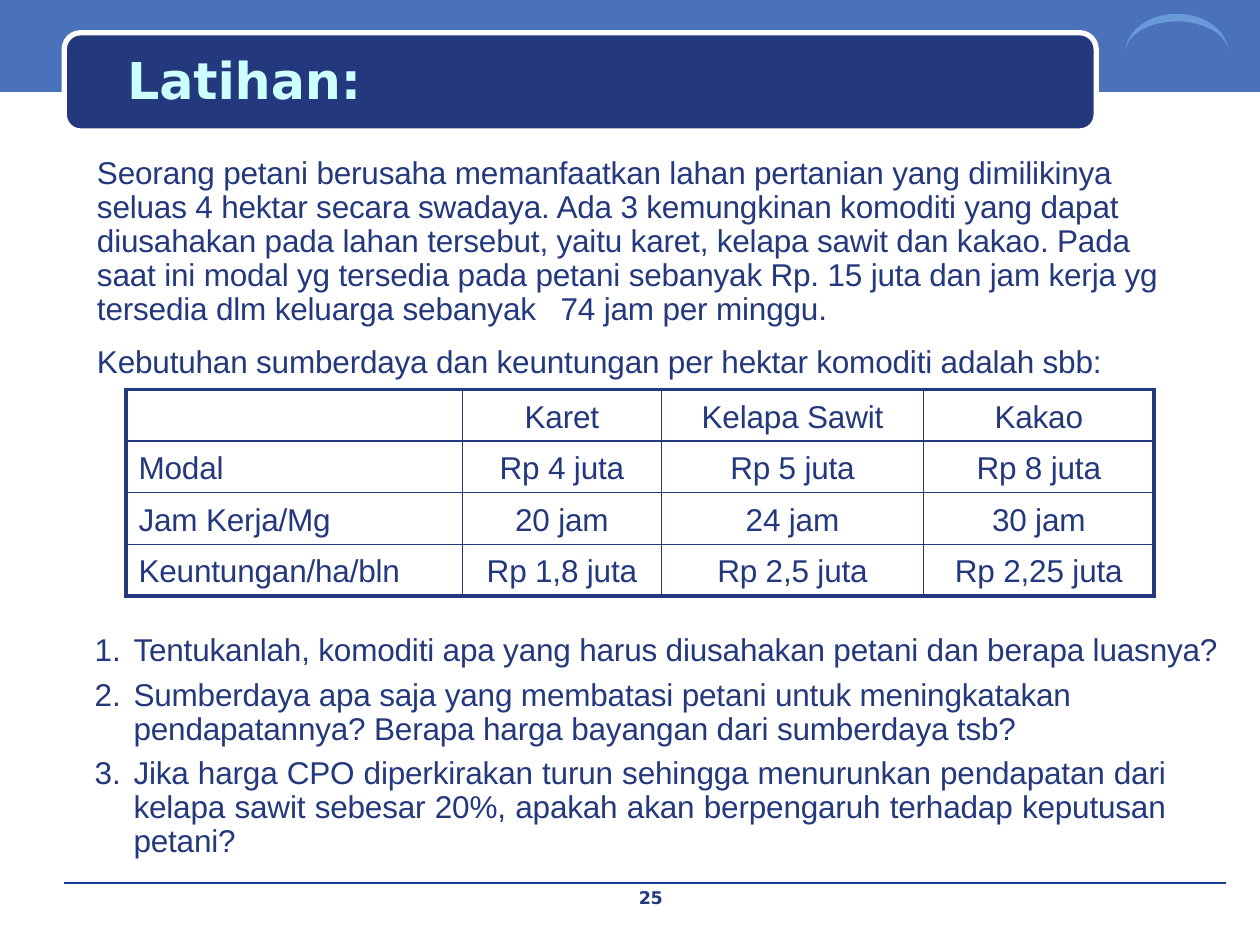
import math
from dataclasses import dataclass

from lxml import etree
from pptx import Presentation
from pptx.dml.color import RGBColor
from pptx.enum.shapes import MSO_CONNECTOR, MSO_SHAPE
from pptx.enum.text import PP_ALIGN
from pptx.oxml.ns import qn
from pptx.util import Inches, Pt

LEFT, CENTER, JUSTIFY = PP_ALIGN.LEFT, PP_ALIGN.CENTER, PP_ALIGN.JUSTIFY
ROUNDED, RECTANGLE = MSO_SHAPE.ROUNDED_RECTANGLE, MSO_SHAPE.RECTANGLE
STRAIGHT = MSO_CONNECTOR.STRAIGHT


@dataclass(frozen=True)
class Theme:
    navy: str = "23387D"
    band: str = "4972BB"
    arc: str = "6A99D8"
    rule: str = "1A3D97"
    white: str = "FFFFFF"
    title_text: str = "CCFFFF"
    body_font: str = "Arial"
    title_font: str = "DejaVu Sans"
    title_size: float = 29
    body_size: float = 18
    number_size: float = 10
    tracking: float = -0.1
    line_pitch: float = 19.4
    thin: float = 1
    thick: float = 2.25


def rgb(value):
    return RGBColor.from_string(value)


def write_text(paragraph, text, *, font, size, color, bold=False, spacing=0,
               align=LEFT, before=0, pitch=None):
    paragraph.alignment = align
    paragraph.space_before = Pt(before)
    if pitch:
        paragraph.line_spacing = Pt(pitch)
    run = paragraph.add_run()
    run.text = text
    run.font.name, run.font.size, run.font.bold = font, Pt(size), bold
    run.font.color.rgb = rgb(color)
    run._r.get_or_add_rPr().set("spc", str(round(spacing * 100)))


def add_tab(paragraph, position):
    tabs = etree.SubElement(paragraph._p.get_or_add_pPr(), qn("a:tabLst"))
    etree.SubElement(tabs, qn("a:tab"), pos=str(Inches(position)), algn="l")


def number_paragraph(paragraph, margin, hanging, right=0):
    properties = paragraph._p.get_or_add_pPr()
    properties.set("marL", str(Inches(margin)))
    properties.set("indent", str(Inches(-hanging)))
    properties.set("marR", str(Inches(right)))
    etree.SubElement(properties, qn("a:buFont"), typeface="Arial")
    etree.SubElement(properties, qn("a:buAutoNum"), type="arabicPeriod")


def set_borders(cell, color, widths):
    """Draw the borders; widths are left, right, top, bottom in points."""
    properties = cell._tc.get_or_add_tcPr()
    for index, (side, width) in enumerate(zip("LRTB", widths)):
        border = etree.Element(qn(f"a:ln{side}"), w=str(Pt(width)))
        fill = etree.SubElement(border, qn("a:solidFill"))
        etree.SubElement(fill, qn("a:srgbClr"), val=color)
        properties.insert(index, border)


class SlideBuilder:
    def __init__(self, slide, theme):
        self.slide, self.theme = slide, theme
        self.body = dict(font=theme.body_font, size=theme.body_size,
                         color=theme.navy, spacing=theme.tracking)
        self.heading = dict(font=theme.title_font, bold=True, spacing=theme.tracking)

    def paint(self, shape, fill, line=None, width=1):
        shape.shadow.inherit = False
        shape.fill.solid()
        shape.fill.fore_color.rgb = rgb(fill)
        if line:
            shape.line.color.rgb = rgb(line)
            shape.line.width = Pt(width)
        else:
            shape.line.fill.background()

    def panel(self, kind, box, fill, line=None, width=1, radius=None):
        shape = self.slide.shapes.add_shape(kind, *map(Inches, box))
        if radius is not None:
            shape.adjustments[0] = radius / box[3]
        self.paint(shape, fill, line, width)

    def crescent(self, center, base, radius, outer, inner, fill, steps=24):
        """Fill the gap between two half ellipses that share one base."""
        def half(height):
            return [(Inches(center - radius * math.cos(math.pi * i / steps)),
                     Inches(base - height * math.sin(math.pi * i / steps)))
                    for i in range(steps + 1)]

        points = half(outer) + half(inner)[::-1]
        builder = self.slide.shapes.build_freeform(*points[0])
        builder.add_line_segments(points[1:], close=True)
        self.paint(builder.convert_to_shape(), fill)

    def rule(self, left, right, y, color, width):
        line = self.slide.shapes.add_connector(
            STRAIGHT, Inches(left), Inches(y), Inches(right), Inches(y))
        line.line.color.rgb = rgb(color)
        line.line.width = Pt(width)
        etree.SubElement(line._element.spPr, qn("a:effectLst"))

    def frame(self, box, top=0.0):
        frame = self.slide.shapes.add_textbox(*map(Inches, box)).text_frame
        frame.word_wrap = True
        frame.margin_left = frame.margin_right = frame.margin_bottom = 0
        frame.margin_top = Inches(top)
        return frame

    def label(self, box, text, top=0.02, **style):
        write_text(self.frame(box, top).paragraphs[0], text, **self.heading, **style)

    def story(self, box, top, paragraphs, tab):
        frame = self.frame(box, top)
        for index, (text, style) in enumerate(paragraphs):
            paragraph = frame.add_paragraph() if index else frame.paragraphs[0]
            add_tab(paragraph, tab)
            write_text(paragraph, text, **self.body, **style)

    def questions(self, box, top, items):
        frame = self.frame(box, top)
        for index, (text, right, style) in enumerate(items):
            paragraph = frame.add_paragraph() if index else frame.paragraphs[0]
            number_paragraph(paragraph, margin=0.32, hanging=0.31, right=right)
            write_text(paragraph, text, **self.body, **style)

    def table(self, left, top, widths, row_height, rows):
        theme = self.theme
        last_row, last_column = len(rows) - 1, len(widths) - 1
        table = self.slide.shapes.add_table(
            len(rows), len(widths), Inches(left), Inches(top),
            Inches(sum(widths)), Inches(row_height * len(rows))).table
        table.first_row = table.horz_banding = False
        for column, width in zip(table.columns, widths):
            column.width = Inches(width)
        for r, row in enumerate(rows):
            table.rows[r].height = Inches(row_height)
            for c, text in enumerate(row):
                cell = table.cell(r, c)
                cell.margin_left = Inches(0 if c else 0.1)
                cell.margin_right = cell.margin_bottom = 0
                cell.margin_top = Inches(0.08)
                cell.fill.background()
                outer = (c == 0, c == last_column, r == 0, r == last_row)
                set_borders(cell, theme.navy,
                            [theme.thick if edge else theme.thin for edge in outer])
                write_text(cell.text_frame.paragraphs[0], text,
                           align=CENTER if c else LEFT, **self.body)


def main():
    theme = Theme()
    deck = Presentation()
    deck.slide_width, deck.slide_height = Inches(10), Inches(7.5)
    page = SlideBuilder(deck.slides.add_slide(deck.slide_layouts[6]), theme)

    page.panel(RECTANGLE, (0, 0, 10, 0.73), theme.band)
    page.rule(0.51, 9.73, 7.01, theme.rule, theme.thin)
    page.panel(ROUNDED, (0.51, 0.26, 8.19, 0.78), theme.navy,
               line=theme.white, width=3, radius=0.13)
    page.crescent(9.34, 0.42, 0.41, 0.31, 0.25, theme.arc)
    page.label((1.01, 0.37, 1.98, 0.51), "Latihan:",
               size=theme.title_size, color=theme.title_text)
    page.label((5.07, 7.02, 0.28, 0.2), "25",
               size=theme.number_size, color=theme.navy)

    page.story((0.77, 1.2, 8.54, 1.83), 0.05, [
        ("Seorang petani berusaha memanfaatkan lahan pertanian yang dimilikinya "
         "seluas 4 hektar secara swadaya. Ada 3 kemungkinan komoditi yang dapat "
         "diusahakan pada lahan tersebut, yaitu karet, kelapa sawit dan kakao. Pada "
         "saat ini modal yg tersedia pada petani sebanyak Rp. 15 juta dan jam kerja yg "
         "tersedia dlm keluarga sebanyak\t74 jam per minggu.",
         dict(pitch=theme.line_pitch)),
        ("Kebutuhan sumberdaya dan keuntungan per hektar komoditi adalah sbb:",
         dict(before=8.6)),
    ], tab=3.68)

    page.table(1, 3.09, (2.67, 1.58, 2.08, 1.83), 0.41, [
        ("", "Karet", "Kelapa Sawit", "Kakao"),
        ("Modal", "Rp 4 juta", "Rp 5 juta", "Rp 8 juta"),
        ("Jam Kerja/Mg", "20 jam", "24 jam", "30 jam"),
        ("Keuntungan/ha/bln", "Rp 1,8 juta", "Rp 2,5 juta", "Rp 2,25 juta"),
    ])

    page.questions((0.74, 4.93, 9.04, 1.9), 0.07, [
        ("Tentukanlah, komoditi apa yang harus diusahakan petani dan berapa luasnya?",
         0, {}),
        ("Sumberdaya apa saja yang membatasi petani untuk meningkatakan "
         "pendapatannya? Berapa harga bayangan dari sumberdaya tsb?",
         0.53, dict(before=6.3, pitch=theme.line_pitch)),
        ("Jika harga CPO diperkirakan turun sehingga menurunkan pendapatan dari "
         "kelapa sawit sebesar 20%, apakah akan berpengaruh terhadap keputusan petani?",
         0.53, dict(before=6, pitch=theme.line_pitch, align=JUSTIFY)),
    ])
    deck.save("out.pptx")


if __name__ == "__main__":
    main()
